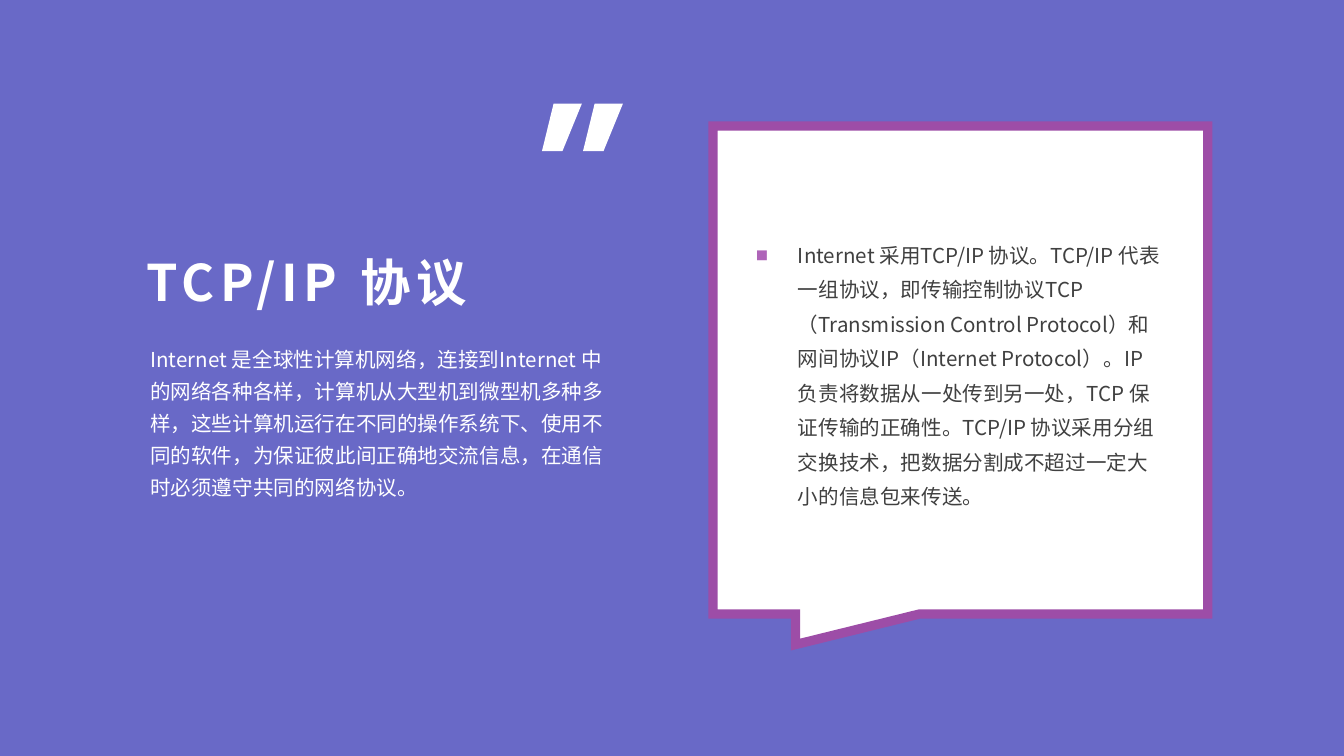
"""Build the TCP/IP protocol slide."""
from typing import NamedTuple, Optional

from lxml import etree
from pptx import Presentation
from pptx import util as u
from pptx.dml.color import RGBColor
from pptx.enum import shapes, text
from pptx.oxml.ns import qn

PX = 6350
FONT = "Noto Sans CJK SC"
VIOLET = RGBColor(0x69, 0x69, 0xC7)
PURPLE = RGBColor(0x9D, 0x4D, 0xA7)
ORCHID = RGBColor(0xAE, 0x64, 0xB8)
WHITE = RGBColor(0xFF, 0xFF, 0xFF)
GREY = RGBColor(0x40, 0x40, 0x40)
QUOTE_LEFTS = (582, 626)
QUOTE_OUTLINE = ((20, 161), (0, 161), (12, 112), (40, 112))


class Box(NamedTuple):
    left: int
    top: int
    width: int
    height: int


class Copy(NamedTuple):
    box: Box
    words: str
    anchor: text.MSO_ANCHOR
    spacing: float
    after: int
    size: int
    color: RGBColor
    side: int = 14
    edge: int = 7
    bold: bool = False
    tracking: int = 0
    indent: int = 0
    bullet: Optional[str] = None


TITLE = Copy(Box(147, 170, 530, 170), "TCP/IP 协议", text.MSO_ANCHOR.BOTTOM,
             1.2, 0, 27, WHITE, side=10, edge=6, bold=True, tracking=300)
INTRO = Copy(
    Box(147, 357, 530, 276),
    "Internet 是全球性计算机网络，连接到Internet 中的网络各种各样，"
    "计算机从大型机到微型机多种多样，这些计算机运行在不同的操作系统下、"
    "使用不同的软件，为保证彼此间正确地交流信息，在通信时必须遵守共同的网络协议。",
    text.MSO_ANCHOR.TOP, 1.3, 10, 11, WHITE)
DETAIL = Copy(
    Box(796, 170, 465, 455),
    "Internet 采用TCP/IP 协议。TCP/IP 代表一组协议，即传输控制协议TCP"
    "（Transmission Control Protocol）和网间协议IP（Internet Protocol）。"
    "IP 负责将数据从一处传到另一处，TCP 保证传输的正确性。"
    "TCP/IP 协议采用分组交换技术，把数据分割成不超过一定大小的信息包来传送。",
    text.MSO_ANCHOR.MIDDLE, 1.4, 10, 11, GREY, indent=45, bullet="■")


def assign(target, values: dict) -> None:
    """Set every named attribute on the target."""
    for name, value in values.items():
        setattr(target, name, value)


def place(sp, box: Box) -> None:
    """Move and size a shape in px."""
    assign(sp, {name: value * PX for name, value in box._asdict().items()})


def paint(sp, fill: RGBColor, line: Optional[RGBColor] = None, weight: int = 0) -> None:
    """Give a shape a flat fill and an optional sharp-cornered outline."""
    sp.shadow.inherit = False
    sp.fill.solid()
    sp.fill.fore_color.rgb = fill
    if line is None:
        sp.line.fill.background()
    else:
        sp.line.color.rgb = line
        sp.line.width = u.Pt(weight)
        outline = sp._element.spPr.find(qn("a:ln"))
        etree.SubElement(outline, qn("a:miter"), lim="800000")


def add_bullet(p, item: Copy) -> None:
    """Add a small coloured bullet with a hanging indent."""
    pr = p._p.get_or_add_pPr()
    pr.set("marL", str(item.indent * PX))
    pr.set("indent", str(-item.indent * PX))
    color = etree.SubElement(pr, qn("a:buClr"))
    etree.SubElement(color, qn("a:srgbClr"), val=str(ORCHID))
    etree.SubElement(pr, qn("a:buSzPct"), val="60000")
    etree.SubElement(pr, qn("a:buFont"), typeface=FONT)
    etree.SubElement(pr, qn("a:buChar"), char=item.bullet)


def write(sp, item: Copy) -> None:
    """Place a text shape and fill it with formatted words."""
    place(sp, item.box)
    tf = sp.text_frame
    assign(tf, {"word_wrap": True, "auto_size": text.MSO_AUTO_SIZE.NONE,
                "vertical_anchor": item.anchor,
                "margin_left": item.side * PX, "margin_right": item.side * PX,
                "margin_top": item.edge * PX, "margin_bottom": item.edge * PX})
    p = tf.paragraphs[0]
    if item.bullet:
        add_bullet(p, item)
    assign(p, {"alignment": text.PP_ALIGN.LEFT, "line_spacing": item.spacing,
               "space_before": u.Pt(0), "space_after": u.Pt(item.after)})
    r = p.add_run()
    r.text = item.words
    assign(r.font, {"name": FONT, "size": u.Pt(item.size), "bold": item.bold})
    r.font.color.rgb = item.color
    pr = r._r.get_or_add_rPr()
    etree.SubElement(pr, qn("a:ea"), typeface=FONT)
    if item.tracking:
        pr.set("spc", str(item.tracking))


def add_preset(s, kind: shapes.MSO_SHAPE, box: Box):
    """Add a preset shape placed in px."""
    return s.shapes.add_shape(kind, *(value * PX for value in box))


def add_quote(s, left: int) -> None:
    """Add one slanted stroke of the quotation mark."""
    points = [(left + x, y) for x, y in QUOTE_OUTLINE]
    builder = s.shapes.build_freeform(*points[0], scale=PX)
    builder.add_line_segments(points[1:], close=True)
    paint(builder.convert_to_shape(), WHITE, WHITE, 1)


def main() -> None:
    """Assemble and save the slide."""
    prs = Presentation()
    assign(prs, {"slide_width": 1440 * PX, "slide_height": 810 * PX})
    s = prs.slides.add_slide(prs.slide_layouts[5])
    title = s.shapes.title
    paint(add_preset(s, shapes.MSO_SHAPE.RECTANGLE, Box(0, 0, 1440, 810)), VIOLET)
    callout = add_preset(s, shapes.MSO_SHAPE.RECTANGULAR_CALLOUT, Box(764, 135, 530, 523))
    callout.adjustments[0] = -1 / 3
    callout.adjustments[1] = 9 / 16
    paint(callout, WHITE, PURPLE, 5)
    for left in QUOTE_LEFTS:
        add_quote(s, left)
    s.shapes._spTree.append(title._element)
    write(title, TITLE)
    for item in (INTRO, DETAIL):
        write(s.shapes.add_textbox(0, 0, PX, PX), item)
    prs.save("out.pptx")


if __name__ == "__main__":
    main()
